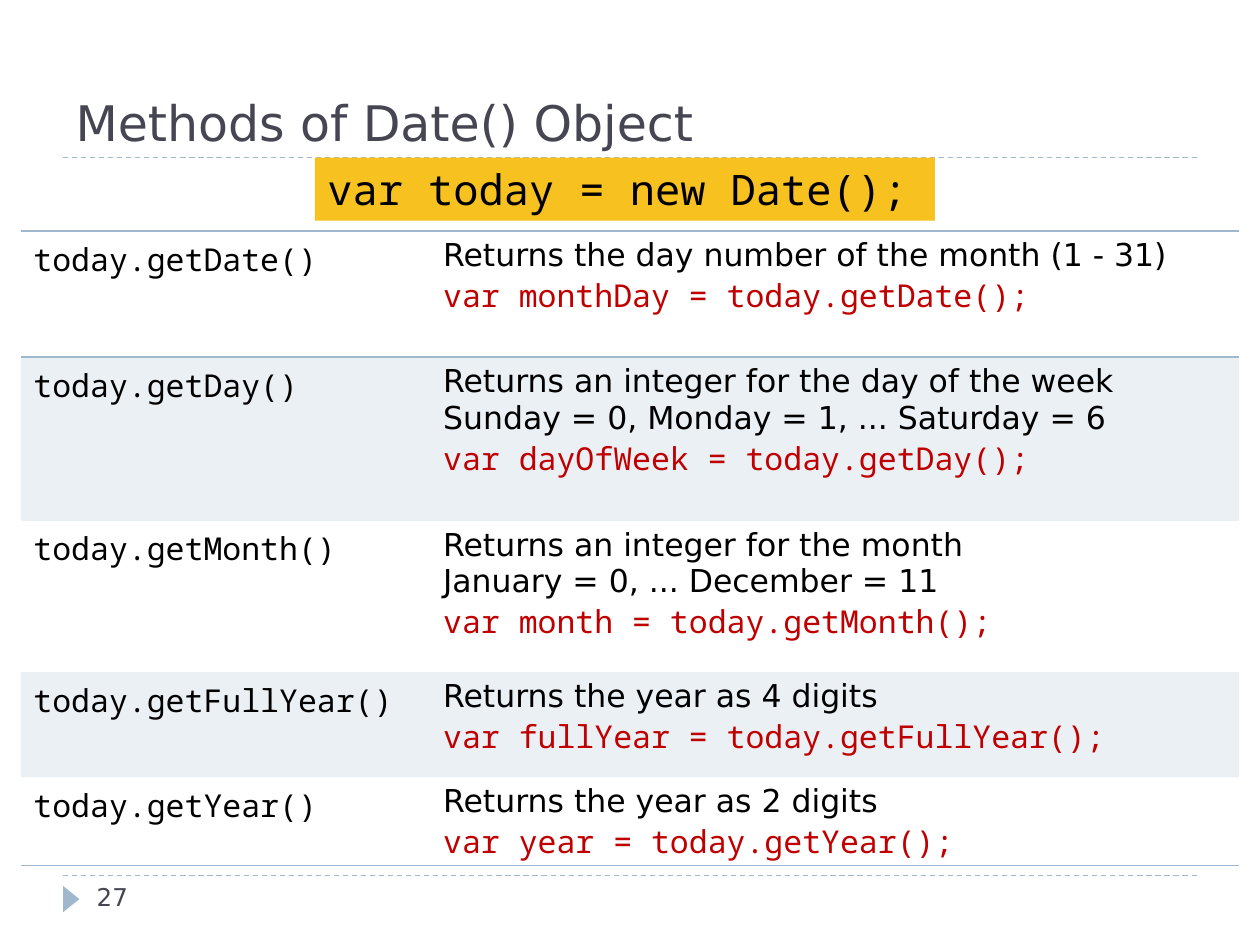
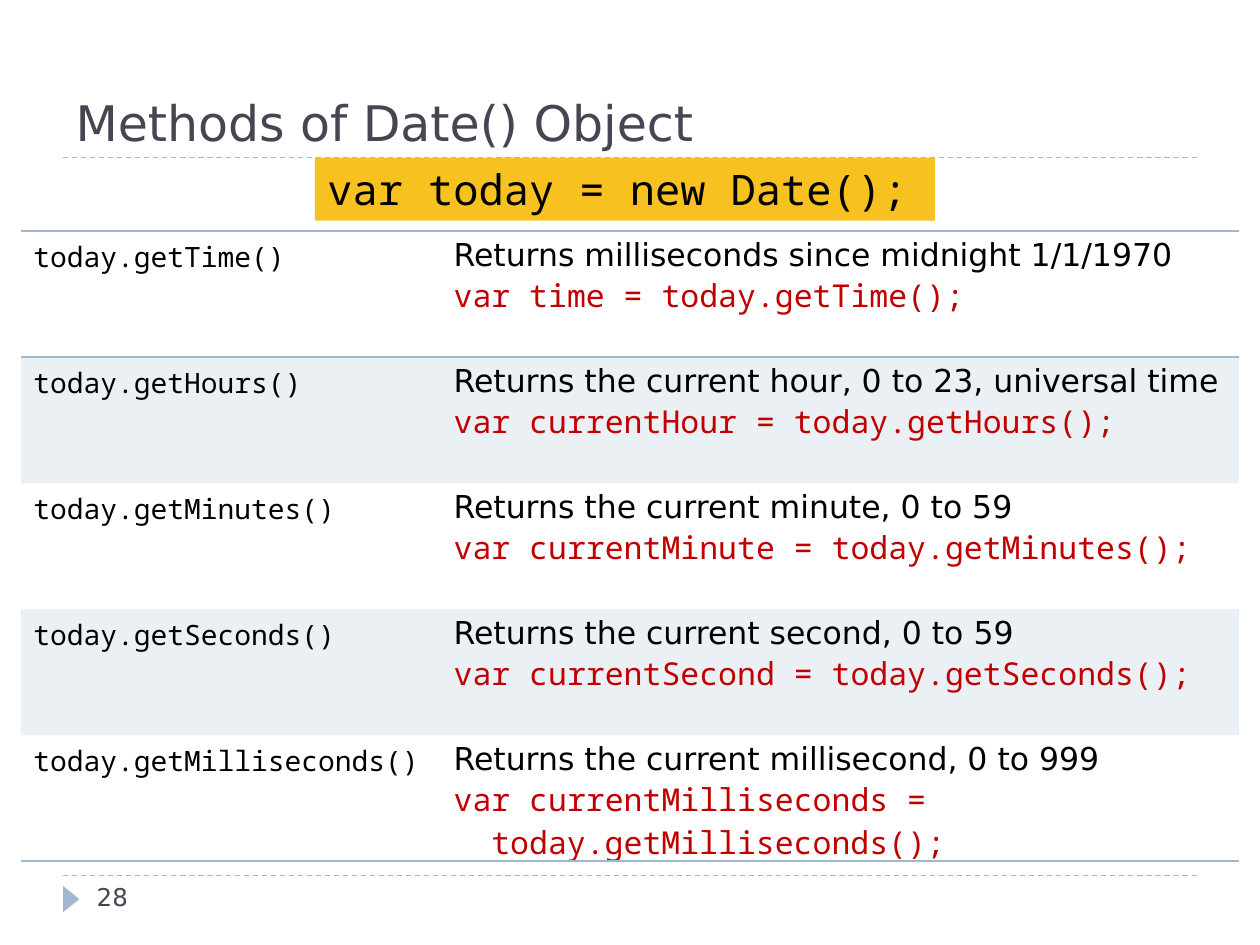
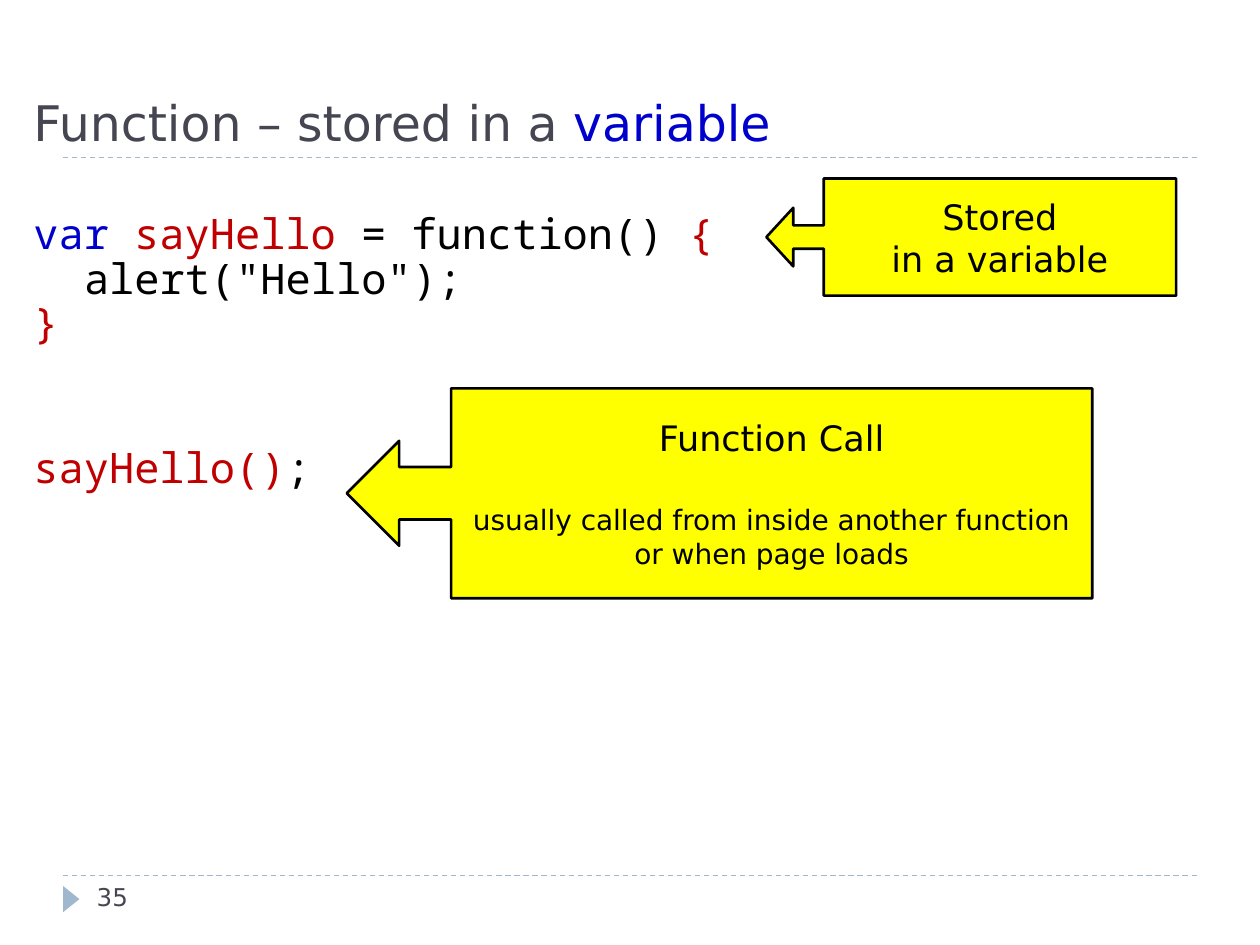
from dataclasses import dataclass

from lxml import etree
from pptx import Presentation
from pptx.dml.color import RGBColor
from pptx.enum.dml import MSO_LINE
from pptx.enum.shapes import MSO_CONNECTOR, MSO_SHAPE
from pptx.enum.text import MSO_ANCHOR, MSO_AUTO_SIZE, PP_ALIGN
from pptx.oxml.ns import qn
from pptx.util import Cm, Pt

DASH = MSO_LINE.DASH
STRAIGHT = MSO_CONNECTOR.STRAIGHT
RECTANGLE = MSO_SHAPE.RECTANGLE
TRIANGLE = MSO_SHAPE.ISOSCELES_TRIANGLE
CALLOUT = MSO_SHAPE.LEFT_ARROW_CALLOUT
TOP, MIDDLE, BOTTOM = MSO_ANCHOR.TOP, MSO_ANCHOR.MIDDLE, MSO_ANCHOR.BOTTOM
LEFT, CENTER = PP_ALIGN.LEFT, PP_ALIGN.CENTER
NO_AUTOFIT = MSO_AUTO_SIZE.NONE
TITLE_AND_CONTENT, TITLE_ONLY = 1, 5
PLAIN_TABLE_STYLE = "{2D5ABB26-0587-4C30-8999-92F81FD0307C}"


@dataclass(frozen=True)
class Theme:
    sans: str = "DejaVu Sans"
    mono: str = "Noto Sans Mono"
    accent: str = "9FB8CD"
    slate: str = "464653"
    amber: str = "F7C120"
    yellow: str = "FFFF00"
    black: str = "000000"
    red: str = "C00000"
    blue: str = "0000CC"
    title_size: int = 28
    code_size: int = 24
    callout_size: int = 20
    table_size: int = 18
    small_size: int = 16
    number_size: int = 14
    band_alpha: int = 20


class Deck:
    def __init__(self, theme):
        self.theme = theme
        self.presentation = Presentation()
        self.presentation.slide_width = Cm(25.4)
        self.presentation.slide_height = Cm(19.05)
        self.slide = None

    def start(self, layout, number):
        layouts = self.presentation.slide_layouts
        self.slide = self.presentation.slides.add_slide(layouts[layout])
        for top in (17.65, 3.18):
            self.rule(top)
        marker = self.shape(TRIANGLE, (1.17, 17.96, 0.53, 0.33), self.theme.accent)
        marker.rotation = 90
        frame = self.slide.shapes.add_textbox(*map(Cm, (1.7, 17.65, 5.5, 1.02))).text_frame
        frame.word_wrap = True
        self.add_runs(frame.paragraphs[0], [(str(number), self.theme.slate)],
                      self.theme.sans, self.theme.number_size)

    def add_runs(self, paragraph, pieces, font, size, align=LEFT):
        paragraph.alignment = align
        for text, color in pieces:
            for index, line in enumerate(text.split("\n")):
                if index:
                    paragraph.add_line_break()
                run = paragraph.add_run()
                run.text = line
                run.font.name = font
                run.font.size = Pt(size)
                run.font.color.rgb = RGBColor.from_string(color)

    def indent(self, paragraph, left):
        properties = paragraph._p.get_or_add_pPr()
        properties.set("marL", str(Cm(left)))
        properties.set("indent", "0")

    def rule(self, top):
        line = self.slide.shapes.add_connector(
            STRAIGHT, Cm(1.27), Cm(top), Cm(24.13), Cm(top))
        line.line.color.rgb = RGBColor.from_string(self.theme.accent)
        line.line.width = Pt(0.75)
        line.line.dash_style = DASH
        etree.SubElement(line.element.spPr, qn("a:effectLst"))

    def shape(self, kind, box, fill):
        shape = self.slide.shapes.add_shape(kind, *map(Cm, box))
        shape.shadow.inherit = False
        shape.fill.solid()
        shape.fill.fore_color.rgb = RGBColor.from_string(fill)
        shape.line.fill.background()
        return shape

    def place(self, placeholder, box, anchor):
        placeholder.left, placeholder.top, placeholder.width, placeholder.height = map(Cm, box)
        frame = placeholder.text_frame
        frame.auto_size = NO_AUTOFIT
        frame.word_wrap = True
        frame.vertical_anchor = anchor
        return frame

    def title(self, pieces, left=1.27, width=22.86):
        frame = self.place(self.slide.shapes.title, (left, 0.42, width, 2.75), BOTTOM)
        self.add_runs(frame.paragraphs[0], pieces, self.theme.sans, self.theme.title_size)

    def code(self, lines):
        frame = self.place(self.slide.placeholders[1], (0.42, 3.18, 24.13, 13.72), TOP)
        frame.margin_top = Cm(1.14)
        for index, (pieces, left, gap) in enumerate(lines):
            paragraph = frame.add_paragraph() if index else frame.paragraphs[0]
            self.add_runs(paragraph, pieces, self.theme.mono, self.theme.code_size)
            self.indent(paragraph, left)
            etree.SubElement(paragraph._p.get_or_add_pPr(), qn("a:buNone"))
            paragraph.line_spacing = 0.88
            paragraph.space_before = Pt(gap)

    def strip(self, text):
        shape = self.shape(RECTANGLE, (6.35, 3.18, 12.5, 1.27), self.theme.amber)
        shape.text_frame.vertical_anchor = TOP
        self.add_runs(shape.text_frame.paragraphs[0], [(text, self.theme.black)],
                      self.theme.mono, self.theme.code_size)

    def callout(self, box, adjustments, lines):
        shape = self.shape(CALLOUT, box, self.theme.yellow)
        shape.line.color.rgb = RGBColor.from_string(self.theme.black)
        shape.line.width = Pt(1.5)
        for index, value in enumerate(adjustments):
            shape.adjustments[index] = value
        frame = shape.text_frame
        frame.vertical_anchor = MIDDLE
        for index, (text, size, gap) in enumerate(lines):
            paragraph = frame.add_paragraph() if index else frame.paragraphs[0]
            self.add_runs(paragraph, [(text, self.theme.black)], self.theme.sans, size, CENTER)
            paragraph.space_before = Pt(gap)

    def border(self, cell, side):
        line = etree.Element(qn("a:ln" + side), w=str(Pt(1)))
        fill = etree.SubElement(line, qn("a:solidFill"))
        etree.SubElement(fill, qn("a:srgbClr"), val=self.theme.accent)
        cell._tc.get_or_add_tcPr().insert(0, line)

    def shade(self, cell, banded):
        if not banded:
            cell.fill.background()
            return
        cell.fill.solid()
        cell.fill.fore_color.rgb = RGBColor.from_string(self.theme.accent)
        color = cell._tc.tcPr.find(".//" + qn("a:srgbClr"))
        etree.SubElement(color, qn("a:alpha"), val=str(self.theme.band_alpha * 1000))

    def methods_table(self, rows, widths, heights, name_size):
        theme = self.theme
        frame = self.slide.shapes.add_table(
            len(rows), 2, Cm(0.42), Cm(4.66), Cm(sum(widths)), Cm(sum(heights)))
        frame.element.find(".//" + qn("a:tableStyleId")).text = PLAIN_TABLE_STYLE
        table = frame.table
        table.first_row = False
        for column, width in zip(table.columns, widths):
            column.width = Cm(width)
        for index, (name, notes, code) in enumerate(rows):
            table.rows[index].height = Cm(heights[index])
            name_cell, detail_cell = table.cell(index, 0), table.cell(index, 1)
            for cell in (name_cell, detail_cell):
                cell.margin_bottom = 0
                self.shade(cell, index % 2 == 1)
                if index in (0, len(rows) - 1):
                    self.border(cell, "B")
                if index == 0:
                    self.border(cell, "T")
            self.add_runs(name_cell.text_frame.paragraphs[0], [(name, theme.black)],
                          theme.mono, name_size)
            lines = [(text, theme.black, theme.sans) for text in notes]
            lines += [(text, theme.red, theme.mono) for text in code]
            text_frame = detail_cell.text_frame
            for position, (text, color, font) in enumerate(lines):
                paragraph = text_frame.add_paragraph() if position else text_frame.paragraphs[0]
                self.add_runs(paragraph, [(text, color)], font, theme.table_size)
                if text in code[1:]:
                    self.indent(paragraph, 0.76)

    def methods_slide(self, number, *table):
        self.start(TITLE_ONLY, number)
        self.title([("Methods of Date() Object", self.theme.slate)])
        self.strip("var today = new Date();")
        self.methods_table(*table)


theme = Theme()
deck = Deck(theme)

calendar_methods = [
    ("today.getDate()", ["Returns the day number of the month (1 - 31)"],
     ["var monthDay = today.getDate();"]),
    ("today.getDay()", ["Returns an integer for the day of the week",
                        "Sunday = 0, Monday = 1, ... Saturday = 6"],
     ["var dayOfWeek = today.getDay();"]),
    ("today.getMonth()", ["Returns an integer for the month",
                          "January = 0, ... December = 11"],
     ["var month = today.getMonth();"]),
    ("today.getFullYear()", ["Returns the year as 4 digits"],
     ["var fullYear = today.getFullYear();"]),
    ("today.getYear()", ["Returns the year as 2 digits"],
     ["var year = today.getYear();"]),
]
deck.methods_slide(27, calendar_methods, (8.26, 16.3),
                   (2.54, 3.3, 3.05, 2.12, 1.78), theme.table_size)

clock_methods = [
    ("today.getTime()", ["Returns milliseconds since midnight 1/1/1970"],
     ["var time = today.getTime();"]),
    ("today.getHours()", ["Returns the current hour, 0 to 23, universal time"],
     ["var currentHour = today.getHours();"]),
    ("today.getMinutes()", ["Returns the current minute, 0 to 59"],
     ["var currentMinute = today.getMinutes();"]),
    ("today.getSeconds()", ["Returns the current second, 0 to 59"],
     ["var currentSecond = today.getSeconds();"]),
    ("today.getMilliseconds()", ["Returns the current millisecond, 0 to 999"],
     ["var currentMilliseconds =", "today.getMilliseconds();"]),
]
deck.methods_slide(28, clock_methods, (8.47, 16.09),
                   [2.54] * len(clock_methods), theme.small_size)

deck.start(TITLE_AND_CONTENT, 35)
deck.title([("Function – stored in a ", theme.slate), ("variable", theme.blue)],
           left=0.42, width=24.33)
deck.code([
    ([("var ", theme.blue), ("sayHello ", theme.red),
      ("= function() ", theme.black), ("{", theme.red)], 0, 0),
    ([('alert("Hello");', theme.black)], 1.02, 0),
    ([("}", theme.red)], 0, 0),
    ([("sayHello()", theme.red), (";", theme.black)], 0, 57.5),
])
deck.callout((15.45, 3.6, 8.26, 2.36), (0.2, 0.25, 0.23, 0.86),
             [("Stored\nin a variable", theme.callout_size, 0)])
deck.callout((6.99, 7.83, 15.03, 4.23), (0.25, 0.25, 0.25, 0.86),
             [("Function Call", theme.callout_size, 0),
              ("usually called from inside another function", theme.small_size, 25),
              ("or when page loads", theme.small_size, 0)])

deck.presentation.save("out.pptx")
